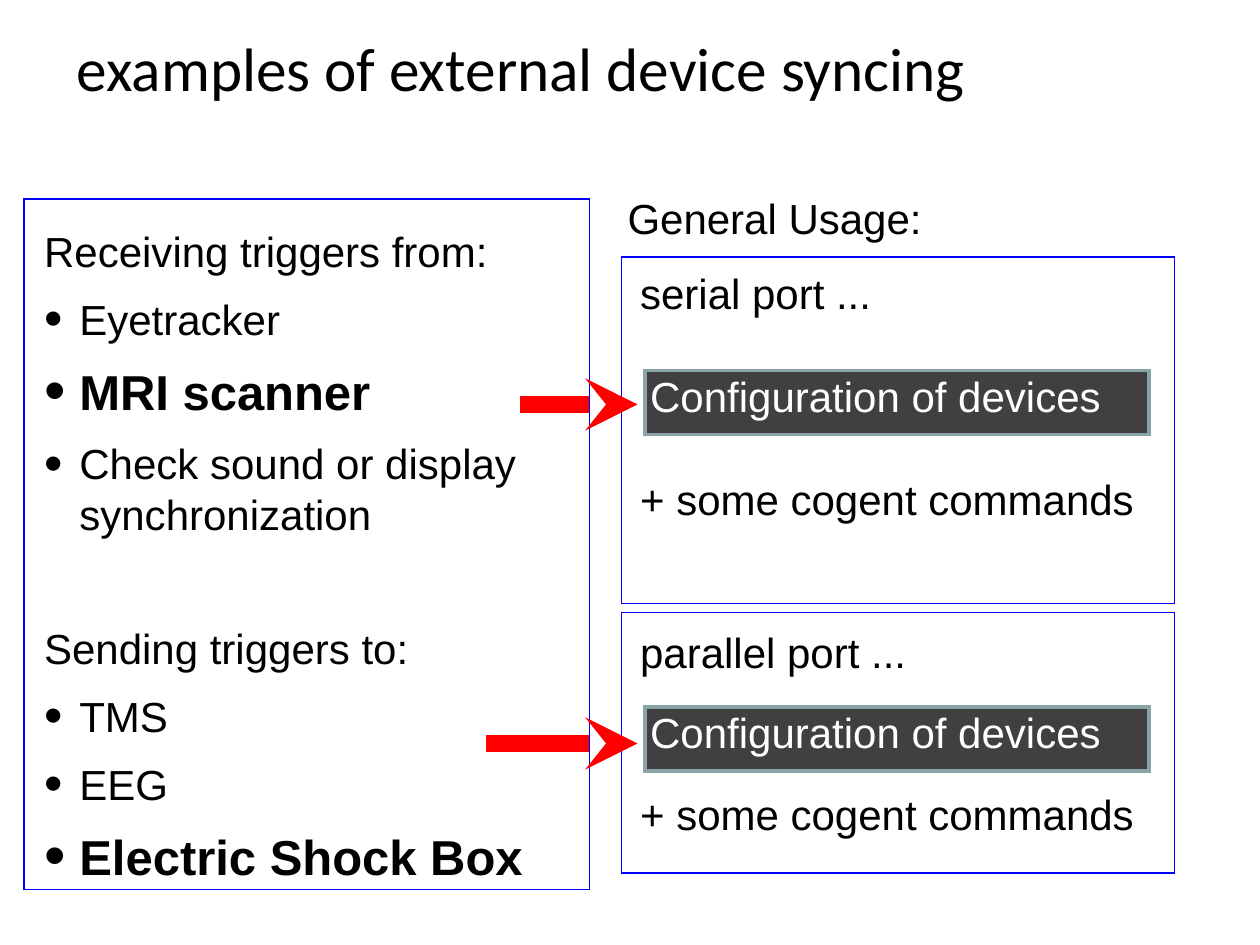
from lxml.etree import SubElement
from pptx import Presentation
from pptx.dml.color import RGBColor
from pptx.enum.shapes import MSO_CONNECTOR, MSO_SHAPE
from pptx.enum.text import MSO_ANCHOR, MSO_AUTO_SIZE, PP_ALIGN
from pptx.oxml.ns import qn
from pptx.util import Inches, Pt

BLACK, WHITE, BLUE, RED = "000000", "FFFFFF", "0000FF", "FF0000"
DARK, GREY = "404040", "89A4A7"

# text, is a bullet, is bold, space before
ITEMS = [
    ("Receiving triggers from:", False, False, 10),
    ("Eyetracker", True, False, 10),
    ("MRI scanner", True, True, 10),
    ("Check sound or display synchronization", True, False, 10),
    ("Sending triggers to:", False, False, 48),
    ("TMS", True, False, 10),
    ("EEG", True, False, 10),
    ("Electric Shock Box", True, True, 10),
]


def color(code):
    return RGBColor.from_string(code)


def style(para, size=24, bold=False, code=BLACK, face="Arial"):
    para.alignment = PP_ALIGN.LEFT
    font = para.font
    font.name, font.size, font.bold = face, Pt(size), bold
    font.color.rgb = color(code)


def indent(para, left=0.04, first=0):
    props = para._p.get_or_add_pPr()
    props.set("marL", str(Inches(left)))
    props.set("indent", str(Inches(first)))
    return props


def bullet(para):
    props = indent(para, 0.32, -0.28)
    SubElement(props, qn("a:buSzPct"), val="125000")
    SubElement(props, qn("a:buFont"), typeface="Arial")
    SubElement(props, qn("a:buChar"), char="•")


def inset(frame):
    frame.margin_left = frame.margin_top = frame.margin_bottom = 0
    frame.margin_right = Inches(0.04)
    frame.vertical_anchor = MSO_ANCHOR.TOP


def add_box(slide, left, top, width, height, fill=WHITE, edge=BLUE, weight=0.75):
    box = slide.shapes.add_shape(
        MSO_SHAPE.RECTANGLE, Inches(left), Inches(top), Inches(width), Inches(height))
    box.shadow.inherit = False
    box.fill.solid()
    box.fill.fore_color.rgb = color(fill)
    box.line.color.rgb = color(edge)
    box.line.width = Pt(weight)
    SubElement(box.line._get_or_add_ln(), qn("a:miter"), lim="800000")
    return box


def write(frame, text, code=BLACK):
    inset(frame)
    para = frame.paragraphs[0]
    para.text = text
    indent(para)
    style(para, code=code)


def add_label(slide, text, left, top, width):
    box = slide.shapes.add_textbox(
        Inches(left), Inches(top), Inches(width), Inches(0.49))
    write(box.text_frame, text)
    box.text_frame.word_wrap = False
    box.text_frame.auto_size = MSO_AUTO_SIZE.SHAPE_TO_FIT_TEXT


def add_bar(slide, top):
    bar = add_box(slide, 5.12, top, 4, 0.51, DARK, GREY, 2)
    write(bar.text_frame, "Configuration of devices", WHITE)


def add_arrow(slide, left, y):
    arrow = slide.shapes.add_connector(
        MSO_CONNECTOR.STRAIGHT, Inches(5.06), Inches(y), Inches(left), Inches(y))
    arrow.line.color.rgb = color(RED)
    arrow.line.width = Pt(10)
    SubElement(arrow.line._get_or_add_ln(), qn("a:headEnd"), type="stealth")
    SubElement(arrow._element.spPr, qn("a:effectLst"))


def add_list(slide):
    box = slide.shapes.add_textbox(
        Inches(0.31), Inches(1.79), Inches(4.19), Inches(4.96))
    frame = box.text_frame
    frame.word_wrap = True
    inset(frame)
    for i, (text, dot, bold, gap) in enumerate(ITEMS):
        para = frame.add_paragraph() if i else frame.paragraphs[0]
        para.text = text
        if dot:
            bullet(para)
        else:
            indent(para)
        para.space_before = Pt(gap)
        style(para, 28 if bold else 24, bold)


def set_title(slide, text):
    title = slide.shapes.title
    title.left, title.top = Inches(0.51), Inches(0.06)
    title.width, title.height = Inches(7.41), Inches(0.94)
    frame = title.text_frame
    frame.text = text
    frame.vertical_anchor = MSO_ANCHOR.MIDDLE
    frame.auto_size = MSO_AUTO_SIZE.NONE
    style(frame.paragraphs[0], 35, face="Calibri")


def main():
    deck = Presentation()
    deck.slide_width, deck.slide_height = Inches(10), Inches(7.5)
    slide = deck.slides.add_slide(deck.slide_layouts[5])
    set_title(slide, "examples of external device syncing")

    add_box(slide, 0.19, 1.58, 4.49, 5.48)
    add_list(slide)

    add_label(slide, "General Usage:", 4.94, 1.53, 2.61)
    add_box(slide, 4.93, 2.04, 4.39, 2.75)
    add_box(slide, 4.93, 4.86, 4.39, 2.07)
    add_label(slide, "serial port ...", 5.04, 2.12, 2)
    add_label(slide, "parallel port ...", 5.04, 4.97, 2.28)
    for tail, y, bar, note in ((4.13, 3.21, 2.94, 3.76), (3.86, 5.9, 5.61, 6.26)):
        add_arrow(slide, tail, y)
        add_bar(slide, bar)
        add_label(slide, "+ some cogent commands", 5.04, note, 4.09)

    deck.save("out.pptx")


if __name__ == "__main__":
    main()
